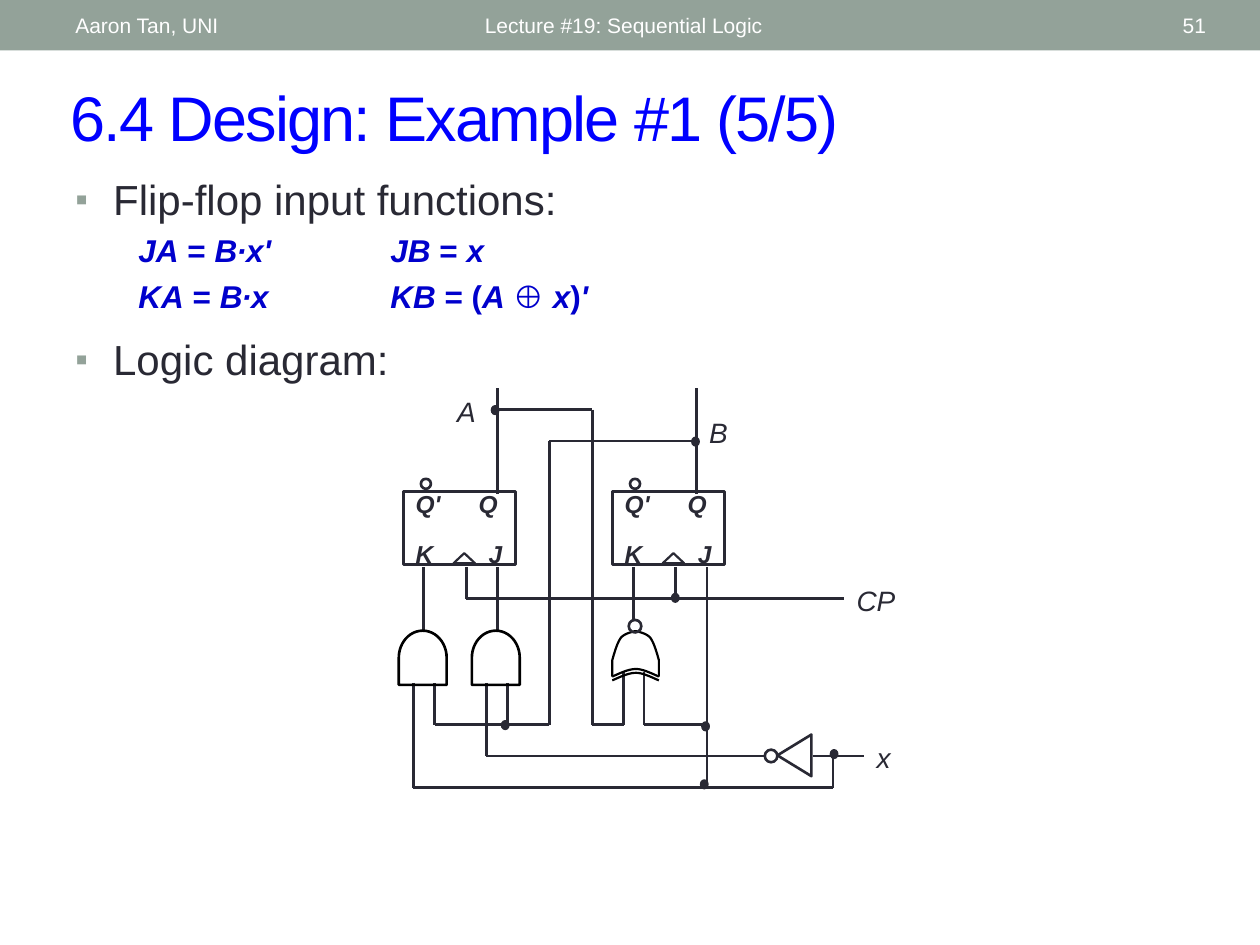
from itertools import pairwise
from lxml.etree import SubElement
from pptx import Presentation
from pptx.dml.color import RGBColor
from pptx.enum.shapes import MSO_CONNECTOR, MSO_SHAPE
from pptx.enum.text import MSO_ANCHOR, PP_ALIGN
from pptx.oxml.ns import qn
from pptx.util import Cm, Pt

SAGE = RGBColor(0x93, 0xA2, 0x99)
WHITE = RGBColor(0xFF, 0xFF, 0xFF)
BLUE = RGBColor(0x00, 0x00, 0xFF)
NAVY = RGBColor(0x00, 0x00, 0xCC)
INK = RGBColor(0x29, 0x29, 0x34)
BLACK = RGBColor(0x00, 0x00, 0x00)
FLIP_FLOP_STEP = 1.66


def inches(value):
    return Cm(value * 2.54)


def add_run(paragraph, text, size, color, bold=False, italic=False):
    run = paragraph.add_run()
    run.text = text
    run.font.name = "Arial"
    run.font.size = Pt(size)
    run.font.color.rgb = color
    run.font.bold = bold
    run.font.italic = italic
    return run


def add_frame(slide, left, top, width, height, anchor=MSO_ANCHOR.TOP, wrap=True):
    frame = slide.shapes.add_textbox(*map(inches, (left, top, width, height))).text_frame
    frame.word_wrap = wrap
    frame.vertical_anchor = anchor
    return frame


def style(part, line, weight, fill=None):
    part.shadow.inherit = False
    if fill is None:
        part.fill.background()
    else:
        part.fill.solid()
        part.fill.fore_color.rgb = fill
    if line is None:
        part.line.fill.background()
    else:
        part.line.color.rgb = line
        part.line.width = Pt(weight)


def add_part(slide, kind, left, top, width, height, line=INK, weight=1.5, fill=None, turn=0):
    part = slide.shapes.add_shape(kind, *map(inches, (left, top, width, height)))
    part.rotation = turn
    style(part, line, weight, fill)


def add_wire(slide, points):
    for start, end in pairwise(points):
        wire = slide.shapes.add_connector(
            MSO_CONNECTOR.STRAIGHT, *map(inches, (*start, *end)))
        wire.line.color.rgb = INK
        wire.line.width = Pt(1.5)
        SubElement(wire._element.spPr, qn("a:effectLst"))


def add_label(slide, text, left, top, width, size=16, bold=False):
    frame = add_frame(slide, left, top, width, 0.35, wrap=False)
    add_run(frame.paragraphs[0], text, size, INK, bold, True)


def bezier(a, b, c, d, steps=10):
    for i in range(steps + 1):
        t = i / steps
        u = 1 - t
        yield tuple(u**3 * p + 3 * u * u * t * q + 3 * u * t * t * r + t**3 * s
                    for p, q, r, s in zip(a, b, c, d))


def add_outline(slide, left, top, points):
    points = [(inches(left + x), inches(top + y)) for x, y in points]
    builder = slide.shapes.build_freeform(*points[0], scale=1.0)
    builder.add_line_segments(points[1:], close=False)
    style(builder.convert_to_shape(), BLACK, 1.25)


def add_header(slide, left, top, width, height):
    add_part(slide, MSO_SHAPE.RECTANGLE, left, top, width, height, line=None, fill=SAGE)
    for text, offset, span, align in (
            ("Aaron Tan, UNI", 0.5, 3.17, PP_ALIGN.LEFT),
            ("Lecture #19: Sequential Logic", 3.75, 4.5, PP_ALIGN.LEFT),
            ("51", 8.72, 0.95, PP_ALIGN.RIGHT)):
        frame = add_frame(slide, left + offset, top + 0.02, span, 0.36, MSO_ANCHOR.MIDDLE)
        frame.paragraphs[0].alignment = align
        add_run(frame.paragraphs[0], text, 12, WHITE)


def add_title(slide, left, top, width, height):
    frame = add_frame(slide, left, top, width, height, MSO_ANCHOR.MIDDLE)
    heading = add_run(frame.paragraphs[0], "6.4 Design: Example #1 (5/5)", 36, BLUE)
    heading.font._element.set("spc", "-100")


def set_indent(paragraph, margin, hanging, before):
    paragraph.space_before = Pt(before)
    props = paragraph._p.get_or_add_pPr()
    props.set("marL", str(inches(margin)))
    props.set("indent", str(-inches(hanging)))
    return props


def fill_point(paragraph, text, before):
    props = set_indent(paragraph, 0.3, 0.3, before)
    SubElement(SubElement(props, qn("a:buClr")), qn("a:srgbClr"), val=str(SAGE))
    SubElement(props, qn("a:buSzPct"), val="85000")
    SubElement(props, qn("a:buFont"), typeface="Arial")
    SubElement(props, qn("a:buChar"), char="▪")
    add_run(paragraph, text, 24, INK)


def fill_equation(paragraph, pieces):
    paragraph.level = 1
    SubElement(set_indent(paragraph, 0.5, 0.2, 4.2), qn("a:buNone"))
    for i, piece in enumerate(pieces):
        add_run(paragraph, piece, 18, NAVY, True, i % 2 == 0)


def add_body(slide, left, top, width, height):
    frame = add_frame(slide, left, top, width, height)
    fill_point(frame.paragraphs[0], "Flip-flop input functions:", 5.5)
    for pieces in (
            ("\tJA", " = ", "B∙x'\t\tJB", " = ", "x"),
            ("\tKA", " = ", "B∙x\t\tKB", " = (", "A ", "⊕ ", "x", ")", "'")):
        fill_equation(frame.add_paragraph(), pieces)
    fill_point(frame.add_paragraph(), "Logic diagram:", 11)


def add_flip_flop(slide, left, top):
    add_part(slide, MSO_SHAPE.RECTANGLE, left, top, 0.89, 0.58)
    add_part(slide, MSO_SHAPE.ISOSCELES_TRIANGLE, left + 0.4, top + 0.49, 0.17, 0.08, weight=1.25)
    add_part(slide, MSO_SHAPE.OVAL, left + 0.14, top - 0.1, 0.08, 0.08, fill=WHITE)
    for text, x, y, width in (("Q'", 0, -0.07, 0.42), ("Q", 0.5, -0.07, 0.35),
                              ("K", 0, 0.33, 0.34), ("J", 0.58, 0.33, 0.31)):
        add_label(slide, text, left + x, top + y, width, 14, True)


def add_xnor_gate(slide, left, top):
    flank = [(0, 0.45), *bezier((0, 0.32), (0.02, 0.25), (0.04, 0.18), (0.07, 0.14)),
             *bezier((0.07, 0.14), (0.1, 0.11), (0.14, 0.1), (0.18, 0.09))]
    mirrored = [(0.37 - x, y) for x, y in reversed(flank)]
    add_outline(slide, left, top, flank + mirrored)
    base = [*bezier((0, 0.45), (0.07, 0.42), (0.13, 0.39), (0.19, 0.39)),
            *bezier((0.19, 0.39), (0.25, 0.39), (0.34, 0.44), (0.37, 0.45))]
    for drop in (0, 0.03):
        add_outline(slide, left, top + drop, base)
    add_part(slide, MSO_SHAPE.OVAL, left + 0.13, top, 0.1, 0.1)


def add_inverter(slide, left, top):
    add_part(slide, MSO_SHAPE.FLOWCHART_EXTRACT, left + 0.07, top, 0.33, 0.27, turn=270)
    add_part(slide, MSO_SHAPE.OVAL, left, top + 0.09, 0.1, 0.1)


def add_diagram(slide, left, top):
    wires = (
        [(0.95, 0.08), (0.95, 0.92)],
        [(2.53, 0.08), (2.53, 0.92)],
        [(0.95, 0.25), (1.7, 0.25), (1.7, 2.75), (1.95, 2.75), (1.95, 2.33)],
        [(2.53, 0.5), (1.36, 0.5), (1.36, 2.75), (0.45, 2.75), (0.45, 2.42)],
        [(1.03, 2.42), (1.03, 2.75)],
        [(0.36, 2), (0.36, 1.5)],
        [(0.95, 2), (0.95, 1.5)],
        [(0.7, 1.5), (0.7, 1.75), (3.7, 1.75)],
        [(2.36, 1.5), (2.36, 1.75)],
        [(2.03, 1.92), (2.03, 1.5)],
        [(2.61, 1.5), (2.61, 3.25)],
        [(2.11, 2.33), (2.11, 2.75), (2.61, 2.75)],
        [(0.86, 2.42), (0.86, 3), (3.08, 3)],
        [(3.45, 3), (3.86, 3)],
        [(0.28, 2.42), (0.28, 3.25), (3.61, 3.25), (3.61, 3)],
    )
    for wire in wires:
        add_wire(slide, [(left + x, top + y) for x, y in wire])
    for x, y in ((0.9, 0.22), (2.49, 0.47), (2.33, 1.71), (0.98, 2.72),
                 (2.57, 2.73), (3.59, 2.95), (2.56, 3.19)):
        add_part(slide, MSO_SHAPE.OVAL, left + x, top + y, 0.06, 0.07, weight=0.75, fill=INK)
    for column in range(2):
        add_flip_flop(slide, left + 0.2 + column * FLIP_FLOP_STEP, top + 0.9)
        add_part(slide, MSO_SHAPE.FLOWCHART_DELAY, left + 0.14 + column * 0.58, top + 2.03,
                 0.43, 0.38, line=BLACK, turn=270)
    add_xnor_gate(slide, left + 1.86, top + 1.92)
    add_inverter(slide, left + 3.07, top + 2.86)
    for text, x, y, width in (("A", 0.53, 0.08, 0.35), ("B", 2.53, 0.25, 0.35),
                              ("CP", 3.7, 1.58, 0.51), ("x", 3.86, 2.83, 0.31)):
        add_label(slide, text, left + x, top + y, width)


deck = Presentation()
deck.slide_width = inches(10)
deck.slide_height = inches(7.5)
page = deck.slides.add_slide(deck.slide_layouts[6])
add_header(page, 0, 0, 10, 0.4)
add_title(page, 0.46, 0.57, 9.21, 0.7)
add_body(page, 0.5, 1.33, 9, 1.83)
add_diagram(page, 3, 3)
deck.save("out.pptx")
